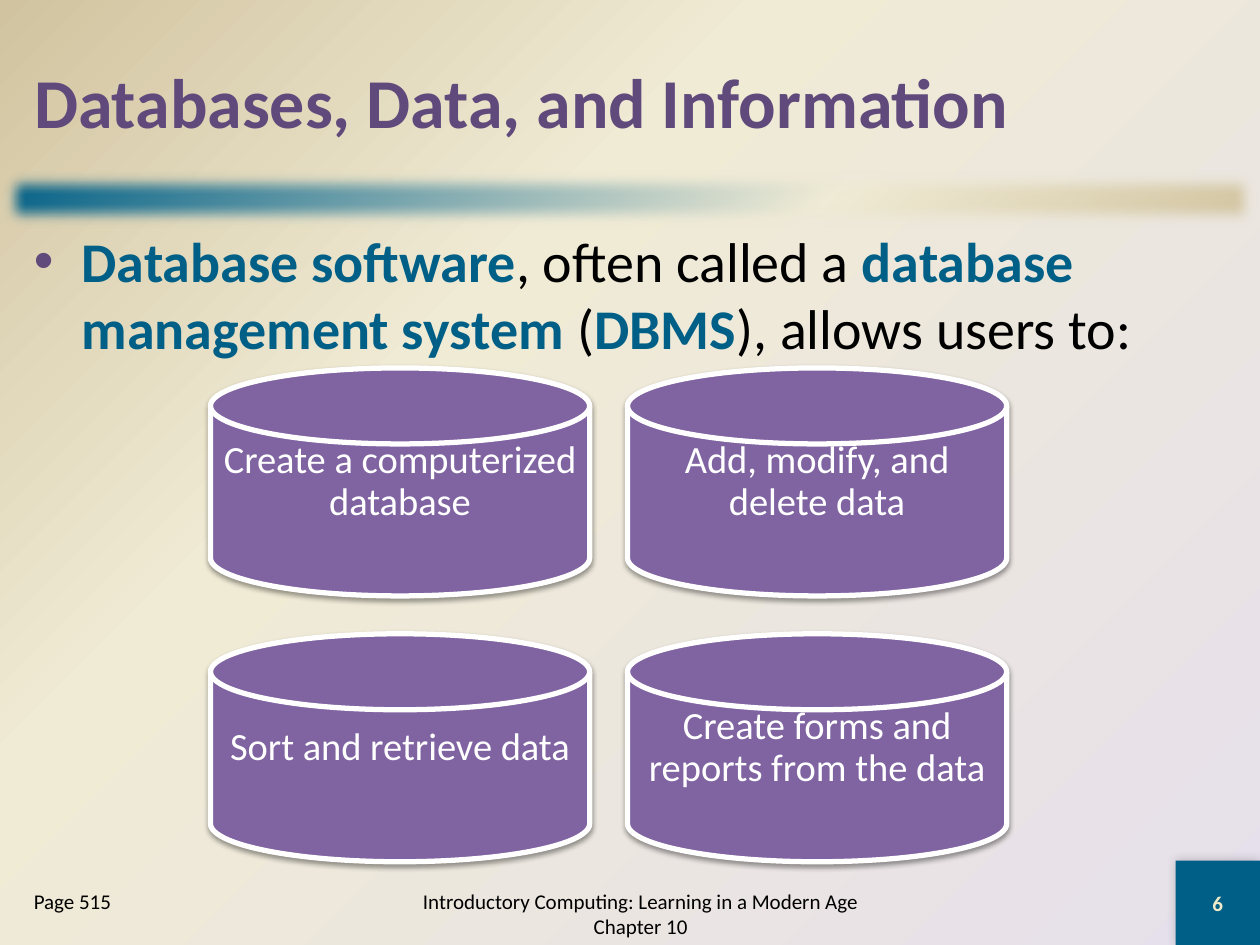
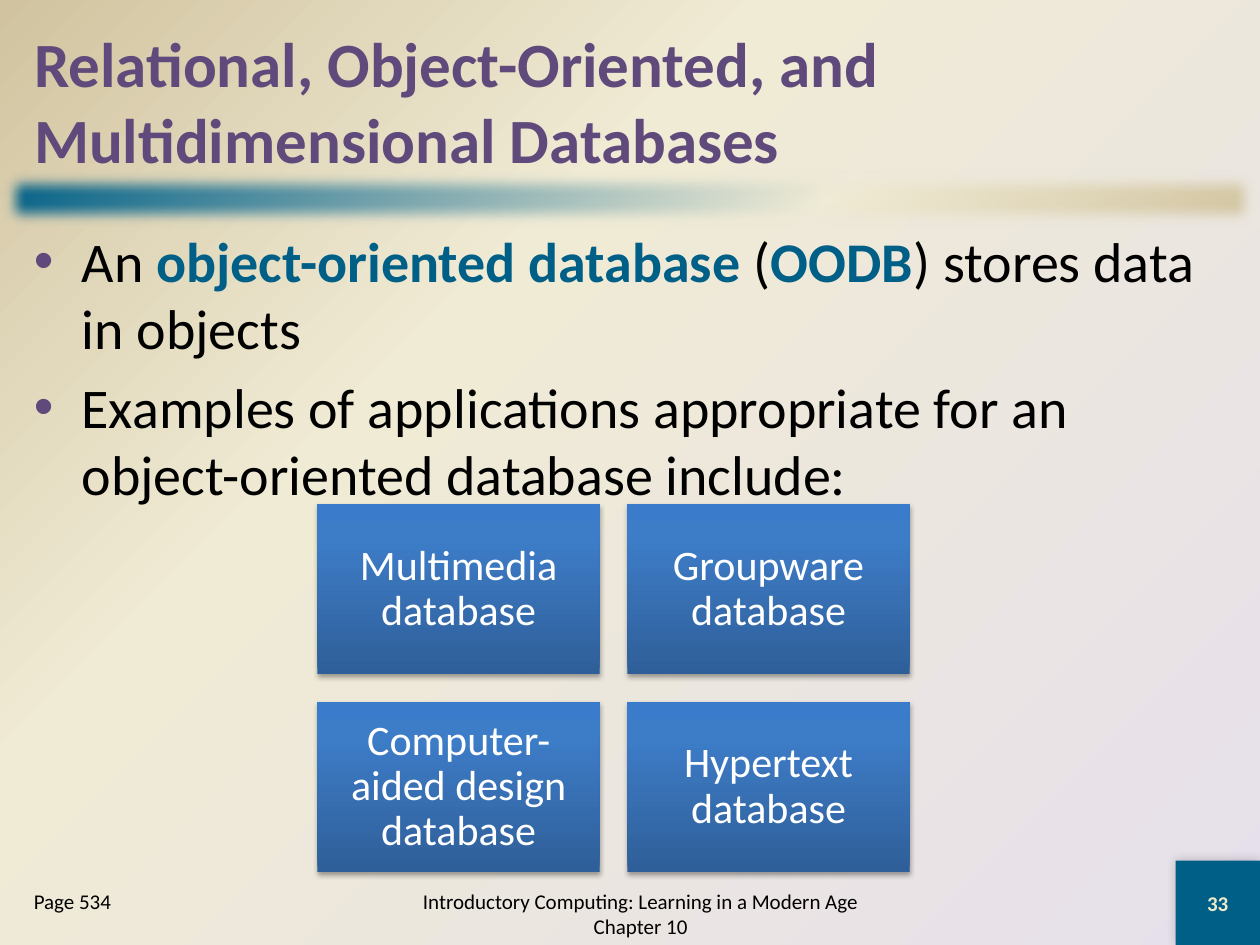
from itertools import product

from lxml.etree import SubElement
from pptx import Presentation
from pptx.dml.color import RGBColor
from pptx.enum.shapes import MSO_SHAPE as Preset
from pptx.enum.text import MSO_ANCHOR as Anchor, MSO_AUTO_SIZE as AutoSize, PP_ALIGN as Align
from pptx.oxml import parse_xml
from pptx.oxml.ns import nsdecls, qn
from pptx.util import Inches, Pt

FONT = "Calibri"
BLACK = RGBColor(0x00, 0x00, 0x00)
WHITE = RGBColor(0xFF, 0xFF, 0xFF)
TEAL = RGBColor(0x00, 0x5F, 0x86)
CREAM = RGBColor(0xF0, 0xEB, 0xD5)
TAN = RGBColor(0xD1, 0xC3, 0x9F)
LAVENDER = RGBColor(0xE6, 0xE0, 0xEC)
TITLE_PURPLE = RGBColor(0x60, 0x4A, 0x7B)
DISK_PURPLE = RGBColor(0x80, 0x64, 0xA2)
NUMBER_CREAM = RGBColor(0xEE, 0xEB, 0xCA)
BLUE_STOPS = (
    (0, RGBColor(0x2F, 0x5F, 0x99)),
    (80, RGBColor(0x3D, 0x7C, 0xC7)),
    (100, RGBColor(0x3A, 0x7C, 0xCB)),
)
CORNER_GLOW = (
    '<a:path path="circle"><a:fillToRect l="100000" t="100000"/></a:path>'
    '<a:tileRect r="-100000" b="-100000"/>'
)
FOOTER = "Introductory Computing: Learning in a Modern Age Chapter 10"


def linear(angle):
    return f'<a:lin ang="{angle * 60000}" scaled="0"/>'


def set_gradient(properties, stops, direction):
    """Swap the solid fill of a properties element for a gradient."""
    stop_xml = "".join(
        f'<a:gs pos="{position * 1000}"><a:srgbClr val="{color}"/></a:gs>'
        for position, color in stops
    )
    gradient = parse_xml(
        f'<a:gradFill {nsdecls("a")} rotWithShape="1">'
        f"<a:gsLst>{stop_xml}</a:gsLst>{direction}</a:gradFill>"
    )
    properties.replace(properties.find(qn("a:solidFill")), gradient)


def add_effect(shape, tag, **attributes):
    effects = shape._element.spPr.find(qn("a:effectLst"))
    return SubElement(effects, qn(tag), {key: str(value) for key, value in attributes.items()})


def add_shadow(shape, opacity, blur, distance, angle):
    shadow = add_effect(
        shape, "a:outerShdw", blurRad=Pt(blur), dist=Pt(distance),
        dir=angle * 60000, algn="ctr", rotWithShape=0,
    )
    color = SubElement(shadow, qn("a:srgbClr"), val=str(BLACK))
    SubElement(color, qn("a:alpha"), val=str(opacity * 1000))


def add_bullet(paragraph):
    properties = paragraph._p.get_or_add_pPr()
    properties.set("marL", str(Inches(0.38)))
    properties.set("indent", str(Inches(-0.38)))
    color = SubElement(properties, qn("a:buClr"))
    SubElement(color, qn("a:srgbClr"), val=str(TITLE_PURPLE))
    SubElement(properties, qn("a:buFont"), typeface="Arial")
    SubElement(properties, qn("a:buChar"), char="•")


def write_text(shape, text, size=12, color=BLACK, bold=False, align=Align.LEFT,
               anchor=Anchor.TOP, line_spacing=1.0, bullet=False, inset=None):
    """Write one paragraph per line; **marked** words are bold teal key terms."""
    frame = shape.text_frame
    frame.word_wrap = True
    frame.auto_size = AutoSize.NONE
    frame.vertical_anchor = anchor
    if inset is not None:
        frame.margin_left = frame.margin_right = Inches(inset)
        frame.margin_top = frame.margin_bottom = Inches(inset)
    for index, line in enumerate(text.split("\n")):
        paragraph = frame.add_paragraph() if index else frame.paragraphs[0]
        paragraph.alignment = align
        paragraph.line_spacing = line_spacing
        paragraph.space_before = Pt(0.2 * size if index else 0)
        if bullet:
            add_bullet(paragraph)
        for part, words in enumerate(line.split("**")):
            if not words:
                continue
            is_term = part % 2 == 1
            run = paragraph.add_run()
            run.text = words
            run.font.name = FONT
            run.font.size = Pt(size)
            run.font.bold = bold or is_term
            run.font.color.rgb = TEAL if is_term else color


class Deck:
    """Holds the shared style and the slide being built."""

    def __init__(self):
        self.presentation = Presentation()
        self.presentation.slide_width = Inches(10)
        self.presentation.slide_height = Inches(7.5)
        self.slide = None
        master = self.presentation.slide_master
        master.background.fill.solid()
        set_gradient(master.element.find(".//" + qn("p:bgPr")),
                     ((0, LAVENDER), (65, CREAM), (100, TAN)), CORNER_GLOW)

    def shape(self, preset, left, top, width, height, fill, line=None):
        shape = self.slide.shapes.add_shape(
            preset, Inches(left), Inches(top), Inches(width), Inches(height))
        shape.shadow.inherit = False
        shape.fill.solid()
        shape.fill.fore_color.rgb = fill
        if line is None:
            shape.line.fill.background()
        else:
            shape.line.color.rgb = line
            shape.line.width = Pt(3)
        return shape

    def text(self, text, left, top, width, height, **style):
        box = self.slide.shapes.add_textbox(
            Inches(left), Inches(top), Inches(width), Inches(height))
        write_text(box, text, **style)

    def start_slide(self, title, title_size, number, page):
        self.slide = self.presentation.slides.add_slide(self.presentation.slide_layouts[5])

        # Title
        heading = self.slide.shapes.title
        heading.left, heading.top = Inches(0.17), Inches(0.17)
        heading.width, heading.height = Inches(9.67), Inches(1.25)
        write_text(heading, title, size=title_size, color=TITLE_PURPLE, bold=True,
                   anchor=Anchor.MIDDLE)

        # Soft band under the title
        band = self.shape(Preset.RECTANGLE, 0, 1.33, 10, 0.5, TEAL)
        set_gradient(band._element.spPr, ((0, TEAL), (65, CREAM), (100, TAN)), linear(45))
        add_effect(band, "a:softEdge", rad=112500)

        # Footer and slide number
        number_tile = self.shape(Preset.RECTANGLE, 9.33, 6.83, 0.67, 0.67, TEAL)
        add_shadow(number_tile, 20, 6, 0, 225)
        write_text(number_tile, str(number), color=NUMBER_CREAM, bold=True,
                   align=Align.CENTER, anchor=Anchor.MIDDLE)
        self.text(FOOTER, 3, 7, 4.17, 0.5, align=Align.CENTER, anchor=Anchor.MIDDLE)
        self.text(f"Page {page}", 0.17, 7, 1.83, 0.5)

    def body(self, text):
        self.text(text, 0.17, 1.75, 9.67, 5.08, size=32, bullet=True)

    def disk(self, label, *place):
        disk = self.shape(Preset.FLOWCHART_MAGNETIC_DISK, *place, DISK_PURPLE, line=WHITE)
        add_shadow(disk, 38, 3.1, 1.6, 90)
        # The label is centred on the whole disk, not only on its front
        self.text(label, *place, size=22, color=WHITE, align=Align.CENTER,
                  anchor=Anchor.MIDDLE, line_spacing=0.9, inset=0.09)

    def tile(self, label, *place):
        tile = self.shape(Preset.RECTANGLE, *place, BLUE_STOPS[0][1])
        set_gradient(tile._element.spPr, BLUE_STOPS, linear(270))
        add_shadow(tile, 35, 3.1, 1.8, 90)
        write_text(tile, label, size=24, color=WHITE, align=Align.CENTER,
                   anchor=Anchor.MIDDLE, line_spacing=0.9, inset=0.1)

    def grid(self, draw, labels, left, top, width, height, gap):
        """Draw four labelled items in two rows of two."""
        for label, (row, column) in zip(labels, product(range(2), repeat=2)):
            draw(label, left + column * (width + gap), top + row * (height + gap),
                 width, height)


def main():
    deck = Deck()

    # What database software does
    deck.start_slide("Databases, Data, and Information", 40, 6, 515)
    deck.body("**Database software**, often called a **database management system **"
              "(**DBMS**), allows users to:")
    deck.grid(deck.disk, (
        "Create a computerized database",
        "Add, modify, and delete data",
        "Sort and retrieve data",
        "Create forms and reports from the data",
    ), 1.67, 2.92, 3.01, 1.81, 0.3)

    # Object-oriented databases
    deck.start_slide("Relational, Object-Oriented, and Multidimensional Databases", 36, 33, 534)
    deck.body("An **object-oriented database **(**OODB**) stores data in objects\n"
              "Examples of applications appropriate for an object-oriented database include:")
    deck.grid(deck.tile, (
        "Multimedia database",
        "Groupware database",
        "Computer-aided design database",
        "Hypertext database",
    ), 2.52, 4, 2.24, 1.35, 0.22)

    deck.presentation.save("out.pptx")


if __name__ == "__main__":
    main()
